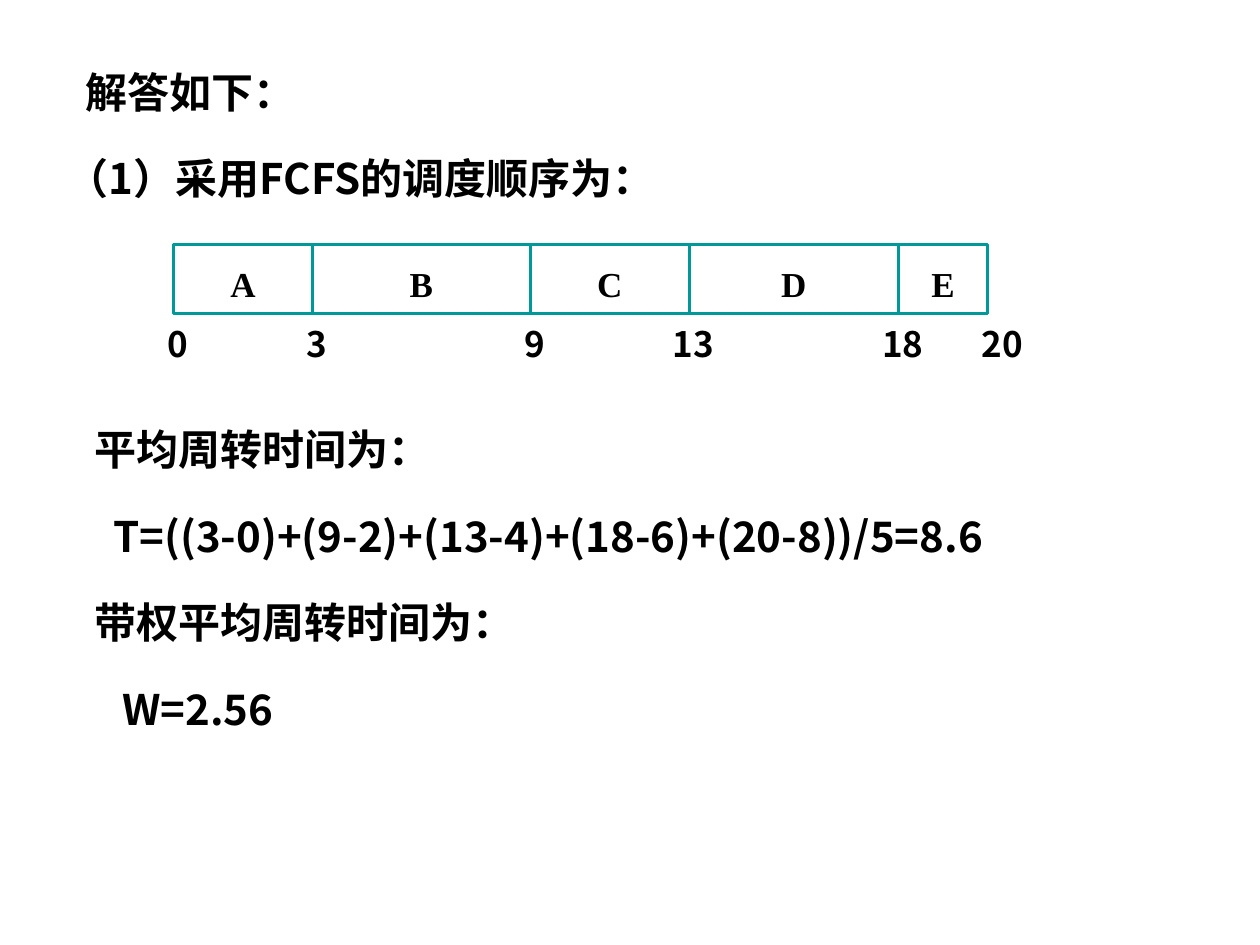
from lxml import etree
from pptx import Presentation
from pptx.dml.color import RGBColor
from pptx.enum.shapes import MSO_SHAPE
from pptx.enum.text import MSO_ANCHOR, MSO_AUTO_SIZE, PP_ALIGN
from pptx.oxml.ns import qn
from pptx.util import Inches, Pt

BLACK = RGBColor(0x00, 0x00, 0x00)
TEAL = RGBColor(0x00, 0x99, 0x99)
SANS = "Noto Sans CJK SC"
SERIF = "Times New Roman"
LEFT = PP_ALIGN.LEFT
CENTER = PP_ALIGN.CENTER
TOP = MSO_ANCHOR.TOP
MIDDLE = MSO_ANCHOR.MIDDLE
RECTANGLE = MSO_SHAPE.RECTANGLE
NO_AUTOFIT = MSO_AUTO_SIZE.NONE

CHART_LEFT = 1.38
CHART_TOP = 1.94
CELL_HEIGHT = 0.55
LABEL_WIDTH = 0.55
LABEL_SHIFT = -0.24
LAST_LABEL_SHIFT = -0.16

JOBS = [("A", 1.1), ("B", 1.73), ("C", 1.26), ("D", 1.66), ("E", 0.71)]
TIMES = ["0", "3", "9", "13", "18", "20"]
HEADING = [("解答如下：", 0.15), ("（1）采用FCFS的调度顺序为：", 0)]
RESULTS = [
    ("平均周转时间为：", 0),
    ("T=((3-0)+(9-2)+(13-4)+(18-6)+(20-8))/5=8.6", 0.15),
    ("带权平均周转时间为：", 0),
    ("W=2.56", 0.22),
]


def place(shape, left, top, width, height):
    shape.left, shape.top = Inches(left), Inches(top)
    shape.width, shape.height = Inches(width), Inches(height)


def set_frame(shape, anchor, wrap, side=0, edge=0):
    frame = shape.text_frame
    frame.auto_size = NO_AUTOFIT
    frame.word_wrap = wrap
    frame.vertical_anchor = anchor
    frame.margin_left = frame.margin_right = Inches(side)
    frame.margin_top = frame.margin_bottom = Inches(edge)


def write_lines(shape, lines, name, size, spacing, gap, align):
    frame = shape.text_frame
    for number, (text, indent) in enumerate(lines):
        para = frame.add_paragraph() if number else frame.paragraphs[0]
        para.text = text
        para.alignment = align
        para.line_spacing = spacing
        para.space_before = Pt(gap if number else 0)
        properties = para._p.get_or_add_pPr()
        properties.set("marL", str(Inches(indent)))
        properties.set("indent", "0")
        etree.SubElement(properties, qn("a:buNone"))
        font = para.font
        font.size = Pt(size)
        font.bold = True
        font.color.rgb = BLACK
        font.name = name
        east_asian = etree.SubElement(font._element, qn("a:ea"))
        east_asian.set("typeface", name)


def add_job(slide, name, left, width):
    cell = slide.shapes.add_shape(
        RECTANGLE, Inches(left), Inches(CHART_TOP), Inches(width), Inches(CELL_HEIGHT)
    )
    cell.shadow.inherit = False
    cell.fill.background()
    cell.line.color.rgb = TEAL
    cell.line.width = Pt(1.75)
    set_frame(cell, MIDDLE, False, 0.1, 0.05)
    write_lines(cell, [(name, 0)], SERIF, 20, 1.2, 0, CENTER)


def add_time(slide, text, left):
    label = slide.shapes.add_textbox(
        Inches(left), Inches(CHART_TOP + CELL_HEIGHT), Inches(LABEL_WIDTH), Inches(0.4)
    )
    set_frame(label, TOP, True)
    write_lines(label, [(text, 0)], SANS, 20, 1.2, 0, CENTER)


def add_schedule(slide):
    edges = [CHART_LEFT]
    for name, width in JOBS:
        add_job(slide, name, edges[-1], width)
        edges.append(edges[-1] + width)
    shifts = [LABEL_SHIFT] * len(JOBS) + [LAST_LABEL_SHIFT]
    for text, edge, shift in zip(TIMES, edges, shifts):
        add_time(slide, text, edge + shift)


def main():
    deck = Presentation()
    deck.slide_width, deck.slide_height = Inches(10), Inches(7.5)
    slide = deck.slides.add_slide(deck.slide_layouts[1])

    title = slide.shapes.title
    place(title, 0.43, 0.28, 9.21, 1.38)
    set_frame(title, TOP, True, 0.1, 0.05)
    write_lines(title, HEADING, SANS, 24, 1.5, 6, LEFT)

    add_schedule(slide)

    body = slide.placeholders[1]
    place(body, 0.75, 3.28, 8.43, 2.54)
    set_frame(body, TOP, True)
    write_lines(body, RESULTS, SANS, 24, 1.2, 15, LEFT)

    deck.save("out.pptx")


if __name__ == "__main__":
    main()
